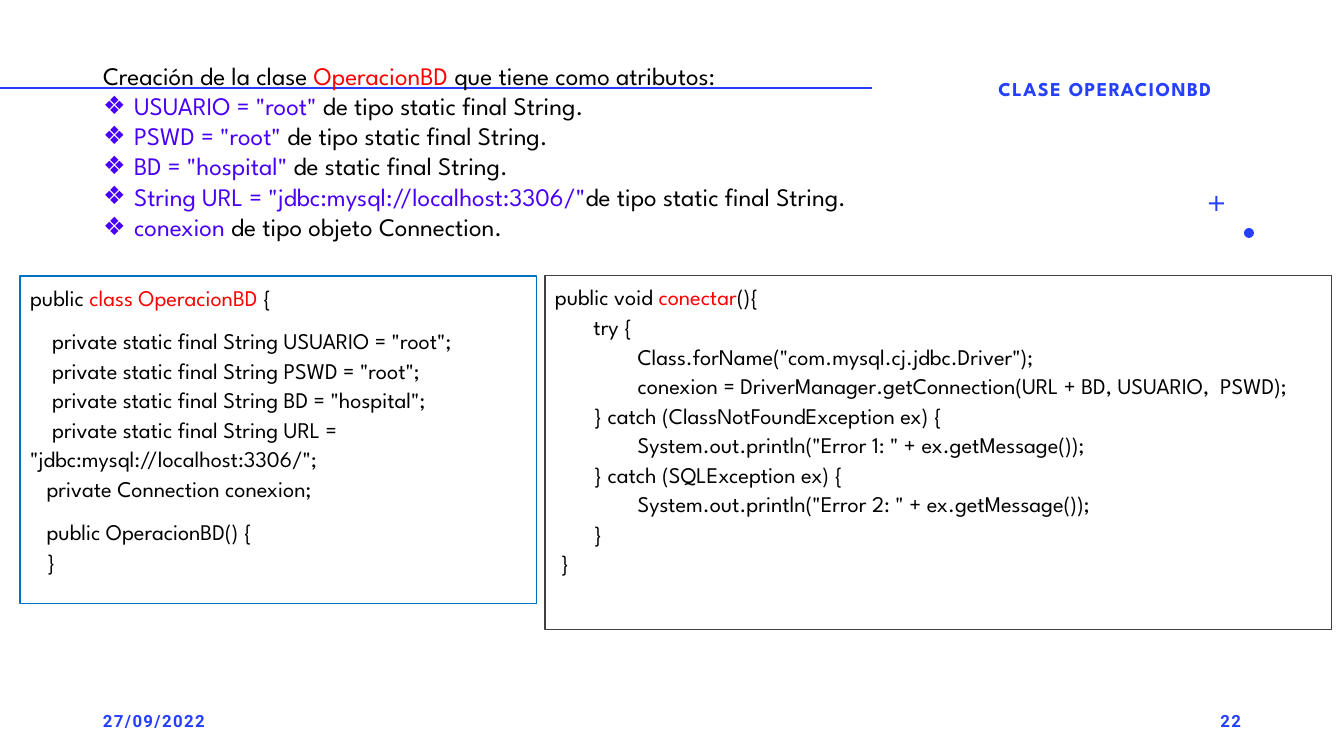
from copy import deepcopy
from pptx import Presentation
from pptx import util as u
from pptx.dml.color import RGBColor
from pptx.enum import shapes, text
from pptx.oxml.ns import qn
from lxml import etree

THEME = {
    "blue": "243FFF", "violet": "4900F9", "red": "FF0000", "black": "000000",
    "frame": "0070C0", "dark_frame": "404040",
    "body_font": "League Spartan", "footer_font": "Roboto",
    "list": 18, "code": 16, "title": 14, "footer": 12,
}
PX = 914400 / 100.8


def px(*lengths):
    return [u.Emu(round(n * PX)) for n in lengths]


def write(sp, paragraphs, size, font="body_font", bold=False, spc=0, bullet=False,
          anchor=text.MSO_ANCHOR.TOP, **para):
    """Fill a shape; each paragraph is a list of (text, colour) runs."""
    tf = sp.text_frame
    for name, value in {"word_wrap": True, "auto_size": text.MSO_AUTO_SIZE.NONE,
                        "vertical_anchor": anchor}.items():
        setattr(tf, name, value)
    for i, runs in enumerate(paragraphs):
        p = tf.paragraphs[0] if i == 0 else tf.add_paragraph()
        pPr = p._p.get_or_add_pPr()
        marked = bullet and i > 0
        indent = px(31)[0] if marked else 0
        pPr.set("marL", str(indent))
        pPr.set("indent", str(-indent))
        if marked:
            clr = etree.SubElement(pPr, qn("a:buClr"))
            etree.SubElement(clr, qn("a:srgbClr"), val=THEME["violet"])
            etree.SubElement(pPr, qn("a:buChar"), char="❖")
        else:
            etree.SubElement(pPr, qn("a:buNone"))
        style = {"alignment": text.PP_ALIGN.LEFT, "line_spacing": 1.0, "space_before": u.Pt(0)}
        style.update(para)
        if i == 0:
            style["space_before"] = u.Pt(0)
        for name, value in style.items():
            setattr(p, name, value)
        for content, colour in runs:
            for n, line in enumerate(content.split("\n")):
                if n:
                    p.add_line_break()
                    p._p[-1].append(deepcopy(r._r.rPr))
                r = p.add_run()
                r.text = line
                for name, value in {"name": THEME[font], "size": u.Pt(THEME[size]),
                                    "bold": bold}.items():
                    setattr(r.font, name, value)
                r.font.color.rgb = RGBColor.from_string(THEME[colour])
                if spc:
                    r._r.rPr.set("spc", str(spc))


prs = Presentation()
prs.slide_width, prs.slide_height = px(1344, 756)
s = prs.slides.add_slide(prs.slide_layouts[3])
title, attributes, class_code = s.placeholders
for sp, place in [(title, (878, 69, 454, 40)), (attributes, (93, 55, 890, 194)),
                  (class_code, (20, 276, 517, 328))]:
    sp.left, sp.top, sp.width, sp.height = px(*place)

# Rule behind the text
rule = s.shapes.add_connector(shapes.MSO_CONNECTOR.STRAIGHT, *px(0, 88, 872, 88))
rule.line.color.rgb = RGBColor.from_string(THEME["blue"])
rule.line.width = u.Pt(2)
etree.SubElement(rule._element.spPr, qn("a:effectLst"))
s.shapes._spTree.insert(2, rule._element)

# Dot and plus ornaments
for kind, place in [(shapes.MSO_SHAPE.OVAL, (1244, 228, 10, 10)),
                    (shapes.MSO_SHAPE.CROSS, (1209, 196, 15, 15))]:
    sp = s.shapes.add_shape(kind, *px(*place))
    sp.shadow.inherit = False
    sp.fill.solid()
    sp.fill.fore_color.rgb = RGBColor.from_string(THEME["blue"])
    sp.line.fill.background()
    if kind == shapes.MSO_SHAPE.CROSS:
        sp.adjustments[0] = 0.43

# Title, date and slide number
middle = text.MSO_ANCHOR.MIDDLE
write(title, [[("CLASE OPERACIONBD", "blue")]], "title", bold=True, spc=100,
      anchor=middle, alignment=text.PP_ALIGN.CENTER)
for label, left, align in [("27/09/2022", 93, text.PP_ALIGN.LEFT),
                           ("22", 949, text.PP_ALIGN.RIGHT)]:
    sp = s.shapes.add_textbox(*px(left, 701, 302, 40))
    write(sp, [[(label, "blue")]], "footer", "footer_font", bold=True, spc=100,
          anchor=middle, alignment=align)

# Attribute list
intro = [("Creación de la clase ", "black"), ("OperacionBD", "red"),
         (" que tiene como atributos:", "black")]
items = [
    ('USUARIO = "root" ', "de tipo static final String."),
    ('PSWD = "root" ', "de tipo static final String."),
    ('BD = "hospital" ', "de static final String."),
    ('String URL = "jdbc:mysql://localhost:3306/"', "de tipo static final String."),
    ("conexion", " de tipo objeto Connection."),
]
write(attributes, [intro] + [[(name, "violet"), (kind, "black")] for name, kind in items],
      "list", bullet=True)

# Code panels
fields = '''    private static final String USUARIO = "root";
    private static final String PSWD = "root";
    private static final String BD = "hospital";
    private static final String URL =      "jdbc:mysql://localhost:3306/";
   private Connection conexion;'''
constructor = '''   public OperacionBD() {
   }'''
connect = '''(){
       try {
               Class.forName("com.mysql.cj.jdbc.Driver");
               conexion = DriverManager.getConnection(URL + BD, USUARIO,  PSWD);
       } catch (ClassNotFoundException ex) {
               System.out.println("Error 1: " + ex.getMessage());
       } catch (SQLException ex) {
               System.out.println("Error 2: " + ex.getMessage());
       }
 }'''
class_text = [[("public", "black"), (" class OperacionBD ", "red"), ("{", "black")],
              [(fields, "black")], [(constructor, "black")]]
connect_text = [[("public void ", "black"), ("conectar", "red"), (connect, "black")]]
connect_code = s.shapes.add_shape(shapes.MSO_SHAPE.RECTANGLE, *px(545, 276, 787, 354))
connect_code.shadow.inherit = False
for sp, paragraphs, frame in [(class_code, class_text, "frame"),
                              (connect_code, connect_text, "dark_frame")]:
    sp.fill.background()
    sp.line.color.rgb = RGBColor.from_string(THEME[frame])
    sp.line.width = u.Pt(0.75)
    write(sp, paragraphs, "code", line_spacing=1.1, space_before=u.Pt(10))

prs.save("out.pptx")
